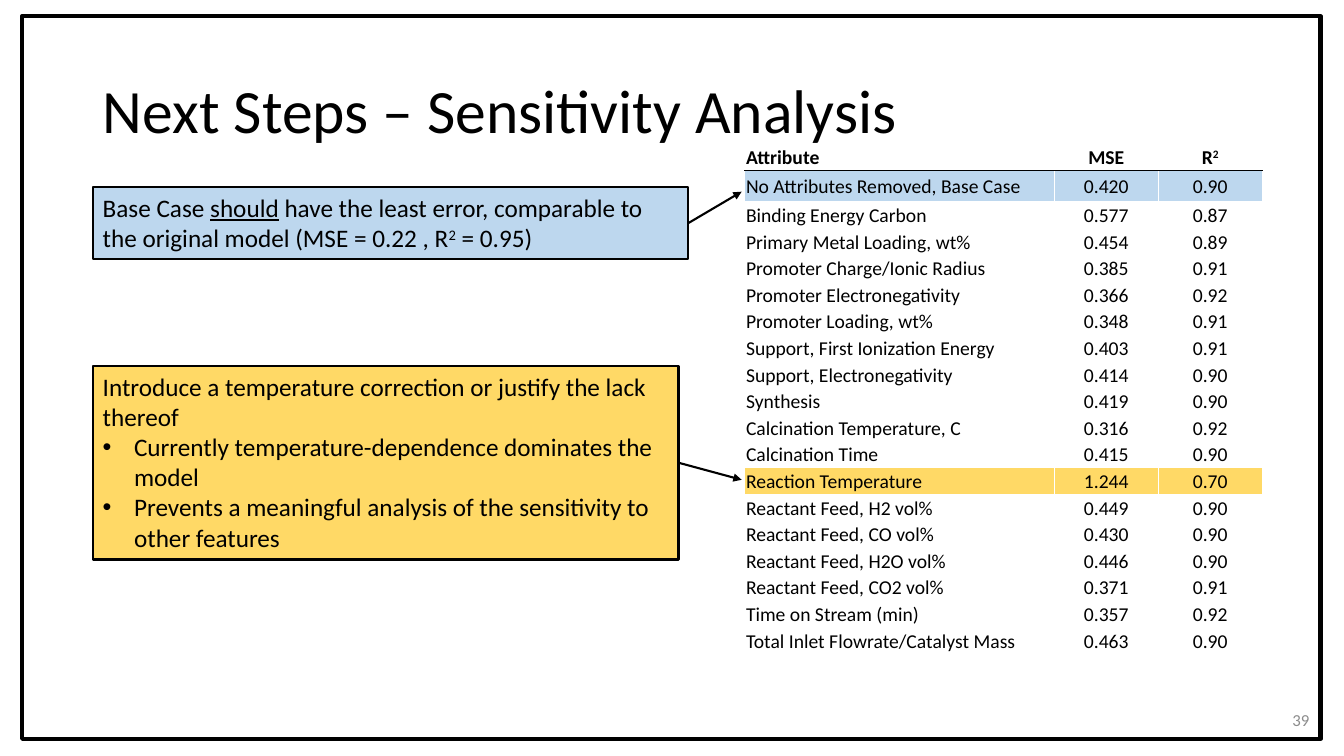
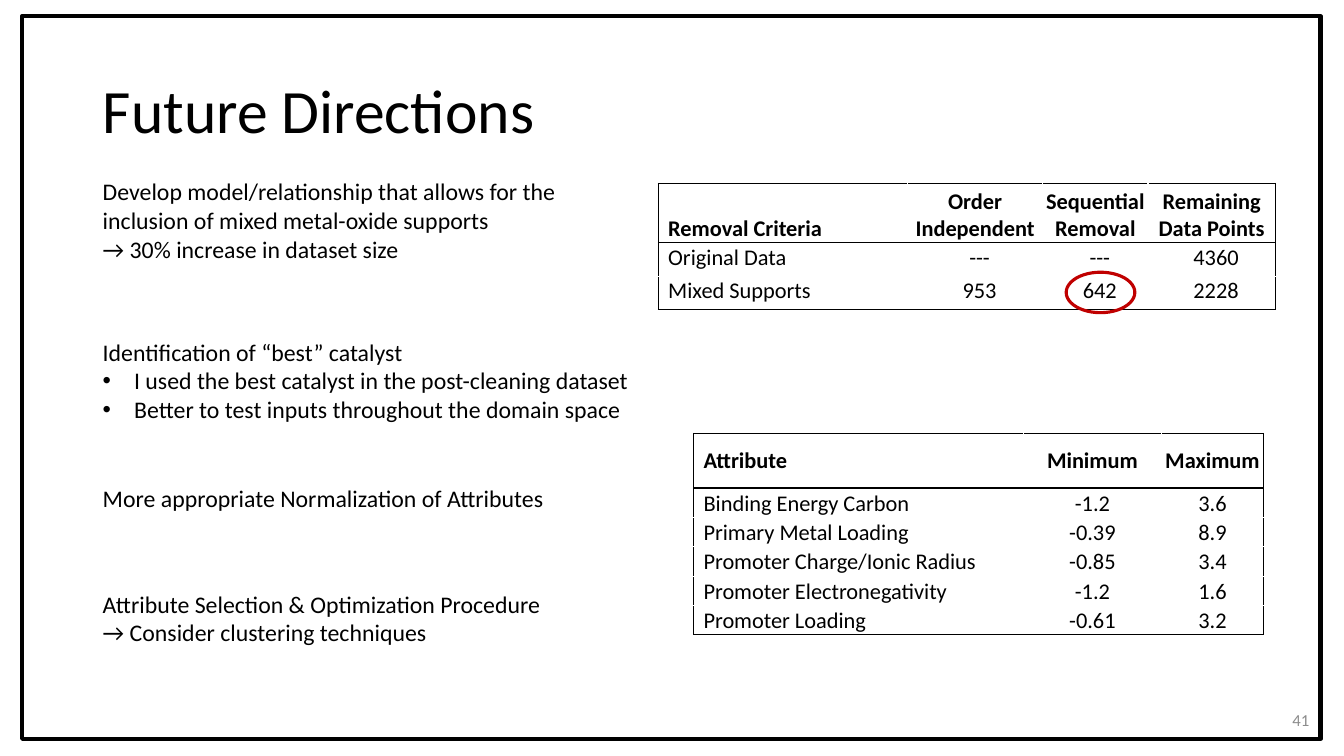
import dataclasses
import lxml.etree
import pptx
import pptx.dml.color
import pptx.enum.shapes
import pptx.enum.text
import pptx.oxml.ns
import pptx.util

Cm = pptx.util.Cm
Pt = pptx.util.Pt
Align = pptx.enum.text.PP_ALIGN
Anchor = pptx.enum.text.MSO_ANCHOR
Shape = pptx.enum.shapes.MSO_SHAPE
qn = pptx.oxml.ns.qn


@dataclasses.dataclass(frozen=True)
class Theme:
    font: str = "Calibri"
    ink: str = "000000"
    paper: str = "FFFFFF"
    grey: str = "8C8C8C"
    blue: str = "BDD7EE"
    gold: str = "FFD966"
    red: str = "C00000"
    title: int = 44
    box: int = 18
    note: int = 17
    table: int = 16
    dense: int = 14
    page: int = 12


T = Theme()

ERRORS = [
    ["Attribute", "MSE", ["R", ("2", "sup")]],
    ["No Attributes Removed, Base Case", "0.420", "0.90"],
    ["Binding Energy Carbon", "0.577", "0.87"],
    ["Primary Metal Loading, wt%", "0.454", "0.89"],
    ["Promoter Charge/Ionic Radius", "0.385", "0.91"],
    ["Promoter Electronegativity", "0.366", "0.92"],
    ["Promoter Loading, wt%", "0.348", "0.91"],
    ["Support, First Ionization Energy", "0.403", "0.91"],
    ["Support, Electronegativity", "0.414", "0.90"],
    ["Synthesis", "0.419", "0.90"],
    ["Calcination Temperature, C", "0.316", "0.92"],
    ["Calcination Time", "0.415", "0.90"],
    ["Reaction Temperature", "1.244", "0.70"],
    ["Reactant Feed, H2 vol%", "0.449", "0.90"],
    ["Reactant Feed, CO vol%", "0.430", "0.90"],
    ["Reactant Feed, H2O vol%", "0.446", "0.90"],
    ["Reactant Feed, CO2 vol%", "0.371", "0.91"],
    ["Time on Stream (min)", "0.357", "0.92"],
    ["Total Inlet Flowrate/Catalyst Mass", "0.463", "0.90"],
]

REMOVAL = [
    ["Removal Criteria", "Order\nIndependent", "Sequential\nRemoval",
     "Remaining\nData Points"],
    ["Original Data", "---", "---", "4360"],
    ["Mixed Supports", "953", "642", "2228"],
]

RANGES = [
    ["Attribute", "Minimum", "Maximum"],
    ["Binding Energy Carbon", "-1.2", "3.6"],
    ["Primary Metal Loading", "-0.39", "8.9"],
    ["Promoter Charge/Ionic Radius", "-0.85", "3.4"],
    ["Promoter Electronegativity", "-1.2", "1.6"],
    ["Promoter Loading", "-0.61", "3.2"],
]

# Left, top, width, height in cm, then the lines
NOTES = [
    (2.34, 4.34, 13, 2.44,
     ["Develop model/relationship that allows for the inclusion of "
      "mixed metal-oxide supports",
      "→ 30% increase in dataset size"]),
    (2.34, 8.38, 13.94, 2.44,
     ["Identification of “best” catalyst",
      "• I used the best catalyst in the post-cleaning dataset",
      "• Better to test inputs throughout the domain space"]),
    (2.34, 12.07, 13, 0.99,
     ["More appropriate Normalization of Attributes"]),
    (2.34, 14.73, 13, 1.7,
     ["Attribute Selection & Optimization Procedure",
      "→ Consider clustering techniques"]),
]


def rgb(code):
    return pptx.dml.color.RGBColor.from_string(code)


# Text
def bullet(para):
    props = para._p.get_or_add_pPr()
    props.set("marL", str(Cm(0.79)))
    props.set("indent", str(-Cm(0.79)))
    lxml.etree.SubElement(props, qn("a:buFont")).set("typeface", "Arial")
    lxml.etree.SubElement(props, qn("a:buChar")).set("char", "•")


def fill_line(para, line):
    """A line is a string, or a list of strings and (text, style) pairs."""
    if isinstance(line, str):
        if line.startswith("• "):
            bullet(para)
            line = line[2:]
        para.text = line
        return
    for part in line:
        text, style = (part, "") if isinstance(part, str) else part
        run = para.add_run()
        run.text = text
        if style == "sup":
            run.font._element.set("baseline", "30000")
        elif style == "under":
            run.font.underline = True


def write(frame, lines, size, color=T.ink, bold=False, align=Align.LEFT):
    frame.word_wrap = True
    for i, line in enumerate(lines):
        para = frame.add_paragraph() if i else frame.paragraphs[0]
        fill_line(para, line)
        para.alignment = align
        for font in [para.font] + [run.font for run in para.runs]:
            font.name = T.font
            font.size = Pt(size)
            font.bold = bold
            font.color.rgb = rgb(color)


def note(slide, at, lines, size=T.note, **style):
    box = slide.shapes.add_textbox(*map(Cm, at))
    write(box.text_frame, lines, size, **style)
    return box


# Shapes
def outline(slide, kind, at, color, width, fill=None):
    shape = slide.shapes.add_shape(kind, *map(Cm, at))
    shape.shadow.inherit = False
    shape.line.color.rgb = rgb(color)
    shape.line.width = Pt(width)
    if fill:
        shape.fill.solid()
        shape.fill.fore_color.rgb = rgb(fill)
    else:
        shape.fill.background()
    return shape


def callout(slide, at, fill, lines, tip):
    """A filled box with an arrow from the middle of its right side."""
    left, top, width, height = at
    box = outline(slide, Shape.RECTANGLE, at, T.ink, 1.5, fill)
    box.text_frame.vertical_anchor = Anchor.TOP
    write(box.text_frame, lines, T.box)
    start = (left + width, top + height / 2)
    arrow = slide.shapes.add_connector(
        pptx.enum.shapes.MSO_CONNECTOR.STRAIGHT, *map(Cm, start + tip))
    arrow.line.color.rgb = rgb(T.ink)
    arrow.line.width = Pt(1.5)
    tail = lxml.etree.SubElement(arrow.line._get_or_add_ln(), qn("a:tailEnd"))
    tail.set("type", "triangle")
    lxml.etree.SubElement(arrow._element.spPr, qn("a:effectLst"))


# Tables
def edge(cell, side, color, width):
    line = lxml.etree.SubElement(cell._tc.get_or_add_tcPr(), qn("a:ln" + side))
    line.set("w", str(Pt(width)))
    solid = lxml.etree.SubElement(line, qn("a:solidFill"))
    lxml.etree.SubElement(solid, qn("a:srgbClr")).set("val", color)


def edges(cell, row, col, last, rim):
    """Rim outside, black rule under the header, white lines elsewhere."""
    outer = {"L": col == 0, "R": col == last[1],
             "T": row == 0, "B": row == last[0]}
    rule = {"T": row == 1, "B": row == 0}
    for side in "LRTB":
        if rule.get(side):
            edge(cell, side, T.ink, 1)
        elif outer[side] and rim:
            edge(cell, side, T.ink, 0.75)
        else:
            edge(cell, side, T.paper, 1)


def grid(slide, spot, cols, rows, data, size, anchor=Anchor.MIDDLE,
         rim=True, lead=0.25, pad=0.03, foot=0, marks=None):
    """lead and pad indent the first and other columns; foot lifts the body."""
    frame = slide.shapes.add_table(
        len(rows), len(cols), *map(Cm, spot + (sum(cols), sum(rows))))
    table = frame.table
    table.first_row = table.horz_banding = False
    for col, width in zip(table.columns, cols):
        col.width = Cm(width)
    for row, height in zip(table.rows, rows):
        row.height = Cm(height)
    last = (len(rows) - 1, len(cols) - 1)
    for r, texts in enumerate(data):
        for c, text in enumerate(texts):
            cell = table.cell(r, c)
            cell.vertical_anchor = anchor
            cell.margin_left = Cm(lead if c == 0 else pad if r else 0.03)
            cell.margin_right = cell.margin_top = Cm(0.03)
            cell.margin_bottom = Cm(foot if r else 0)
            write(cell.text_frame, [text], size, bold=r == 0,
                  align=Align.CENTER if c else Align.LEFT)
            edges(cell, r, c, last, rim)
            fill = (marks or {}).get(r)
            if fill:
                cell.fill.solid()
                cell.fill.fore_color.rgb = rgb(fill)
            else:
                cell.fill.background()


# Slides
def base(deck, title, page):
    """Title, page number and frame, shared by all slides."""
    slide = deck.slides.add_slide(deck.slide_layouts[5])
    head = slide.shapes.title
    head.left, head.top, head.width, head.height = map(
        Cm, (2.34, 1.02, 29.21, 3.68))
    write(head.text_frame, [title], T.title)
    head.text_frame.vertical_anchor = Anchor.MIDDLE
    head.text_frame.paragraphs[0].line_spacing = 0.9
    number = note(slide, (25.63, 17.63, 7.62, 1.02), [page], T.page,
                  color=T.grey, align=Align.RIGHT)
    number.text_frame.vertical_anchor = Anchor.MIDDLE
    outline(slide, Shape.RECTANGLE, (0.56, 0.41, 32.72, 18.21), T.ink, 3)
    return slide


def steps(deck):
    slide = base(deck, "Next Steps – Sensitivity Analysis", "39")
    grid(slide, (18.77, 3.63), [7.8, 2.62, 2.62],
         [0.67, 0.79] + [0.67] * 17, ERRORS, T.dense,
         rim=False, lead=0.03, marks={1: T.blue, 12: T.gold})
    callout(slide, (2.34, 4.72, 15.01, 1.8), T.blue,
            [["Base Case ", ("should", "under"),
              " have the least error, comparable to the original model "
              "(MSE = 0.22 , R", ("2", "sup"), " = 0.95)"]],
            (18.69, 4.83))
    callout(slide, (2.34, 9.22, 14.76, 4.88), T.gold,
            ["Introduce a temperature correction or justify the lack thereof",
             "• Currently temperature-dependence dominates the model",
             "• Prevents a meaningful analysis of the sensitivity to "
             "other features"],
            (18.69, 12.09))


def future(deck):
    slide = base(deck, "Future Directions", "41")
    for *at, lines in NOTES:
        note(slide, at, lines)
    grid(slide, (16.59, 4.62), [6.28, 3.41, 2.65, 3.21], [1.5, 0.83, 0.83],
         REMOVAL, T.table, anchor=Anchor.BOTTOM, pad=0.25, foot=0.13)
    outline(slide, Shape.OVAL, (26.87, 6.86, 1.73, 1.02), T.red, 2.25)
    grid(slide, (17.48, 10.92), [8.31, 3.48, 2.57], [1.38] + [0.74] * 5,
         RANGES, T.table)


def main():
    deck = pptx.Presentation()
    deck.slide_width, deck.slide_height = Cm(33.87), Cm(19.05)
    steps(deck)
    future(deck)
    deck.save("out.pptx")


if __name__ == "__main__":
    main()
